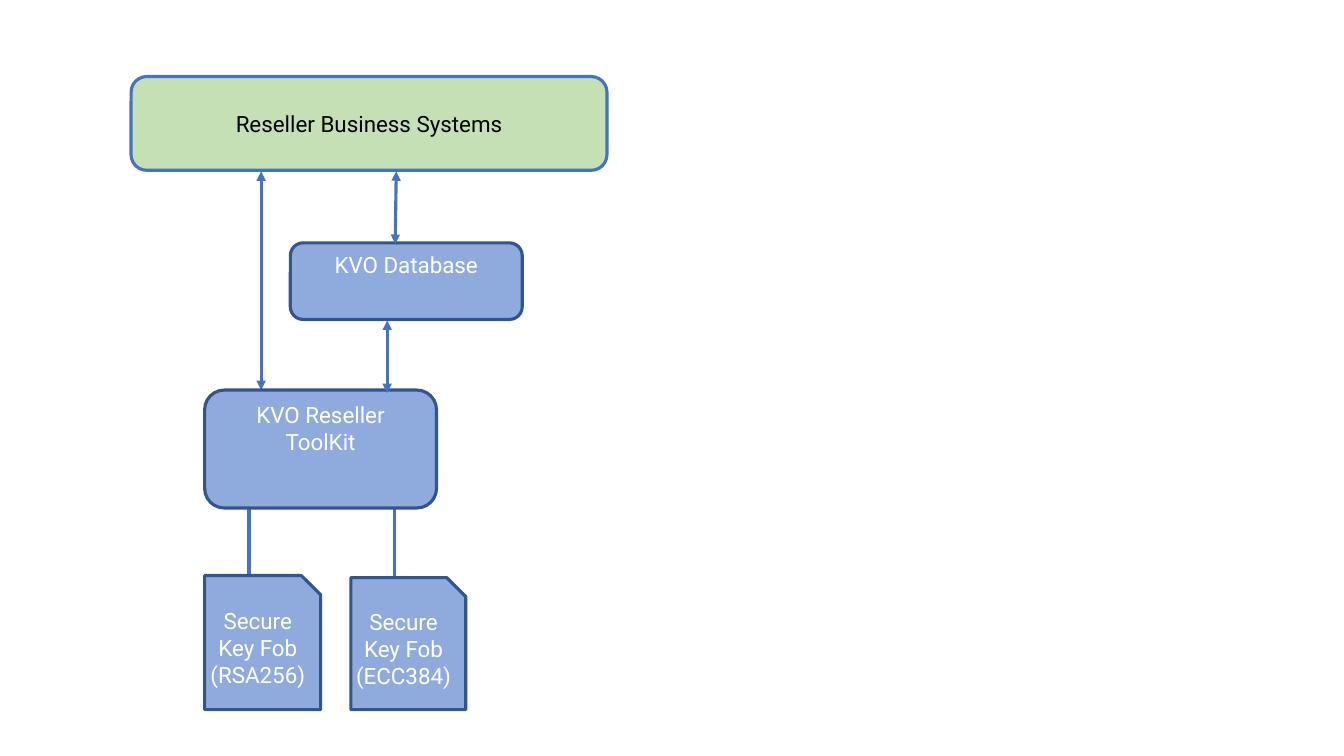
from lxml import etree
from pptx import Presentation
from pptx.dml.color import RGBColor
from pptx.enum.shapes import MSO_CONNECTOR, MSO_SHAPE
from pptx.enum.text import MSO_ANCHOR, PP_ALIGN
from pptx.oxml.ns import qn
from pptx.util import Pt

PX = 9144
ROUNDED = MSO_SHAPE.ROUNDED_RECTANGLE
SNIPPED = MSO_SHAPE.SNIP_1_RECTANGLE
STRAIGHT = MSO_CONNECTOR.STRAIGHT
TOP, MIDDLE = MSO_ANCHOR.TOP, MSO_ANCHOR.MIDDLE
CENTER = PP_ALIGN.CENTER
BLUE, NAVY, SKY, GREEN = "4472C4", "325491", "8FAADC", "C5E0B4"
WHITE, BLACK = "FFFFFF", "000000"


def paint(color_format, hex_color):
    color_format.rgb = RGBColor.from_string(hex_color)


prs = Presentation()
prs.slide_width, prs.slide_height = 1333 * PX, 750 * PX
slide = prs.slides.add_slide(prs.slide_layouts[6])

links = [
    (247, 584, 247, 491, False),
    (391, 585, 391, 493, False),
    (259, 170, 259, 387, True),
    (393, 170, 392, 242, True),
    (384, 318, 384, 390, True),
]
systems = [
    (203, 387, 230, 117, ROUNDED, SKY, NAVY, WHITE, TOP, ["KVO Reseller ToolKit"]),
    (130, 76, 472, 93, ROUNDED, GREEN, BLUE, BLACK, MIDDLE, ["Reseller Business Systems"]),
    (288, 241, 230, 76, ROUNDED, SKY, NAVY, WHITE, TOP, ["KVO Database"]),
    (203, 571, 115, 133, SNIPPED, SKY, NAVY, WHITE, MIDDLE, ["Secure Key Fob", "(RSA256)"]),
    (348, 573, 114, 131, SNIPPED, SKY, NAVY, WHITE, MIDDLE, ["Secure Key Fob (ECC384)"]),
]


def add_link(x1, y1, x2, y2, two_way):
    link = slide.shapes.add_connector(STRAIGHT, x1 * PX, y1 * PX, x2 * PX, y2 * PX)
    paint(link.line.color, BLUE)
    link.line.width = Pt(2.25)
    properties = link._element.spPr
    if two_way:
        outline = properties.find(qn("a:ln"))
        for end in ("a:headEnd", "a:tailEnd"):
            etree.SubElement(outline, qn(end), type="triangle")
    etree.SubElement(properties, qn("a:effectLst"))


for link_data in links[:3]:
    add_link(*link_data)

for left, top, width, height, outline, fill, border, ink, anchor, lines in systems:
    system = slide.shapes.add_shape(outline, left * PX, top * PX, width * PX, height * PX)
    system.shadow.inherit = False
    system.fill.solid()
    paint(system.fill.fore_color, fill)
    paint(system.line.color, border)
    system.line.width = Pt(2.25)
    frame = system.text_frame
    frame.word_wrap = True
    frame.vertical_anchor = anchor
    if outline == SNIPPED:
        frame.margin_left = frame.margin_right = 0
        frame.margin_top = frame.margin_bottom = 0
    for index, line in enumerate(lines):
        paragraph = frame.add_paragraph() if index else frame.paragraphs[0]
        paragraph.alignment = CENTER
        run = paragraph.add_run()
        run.text = line
        run.font.name = "Roboto"
        run.font.size = Pt(16)
        paint(run.font.color, ink)

for link_data in links[3:]:
    add_link(*link_data)

prs.save("out.pptx")
